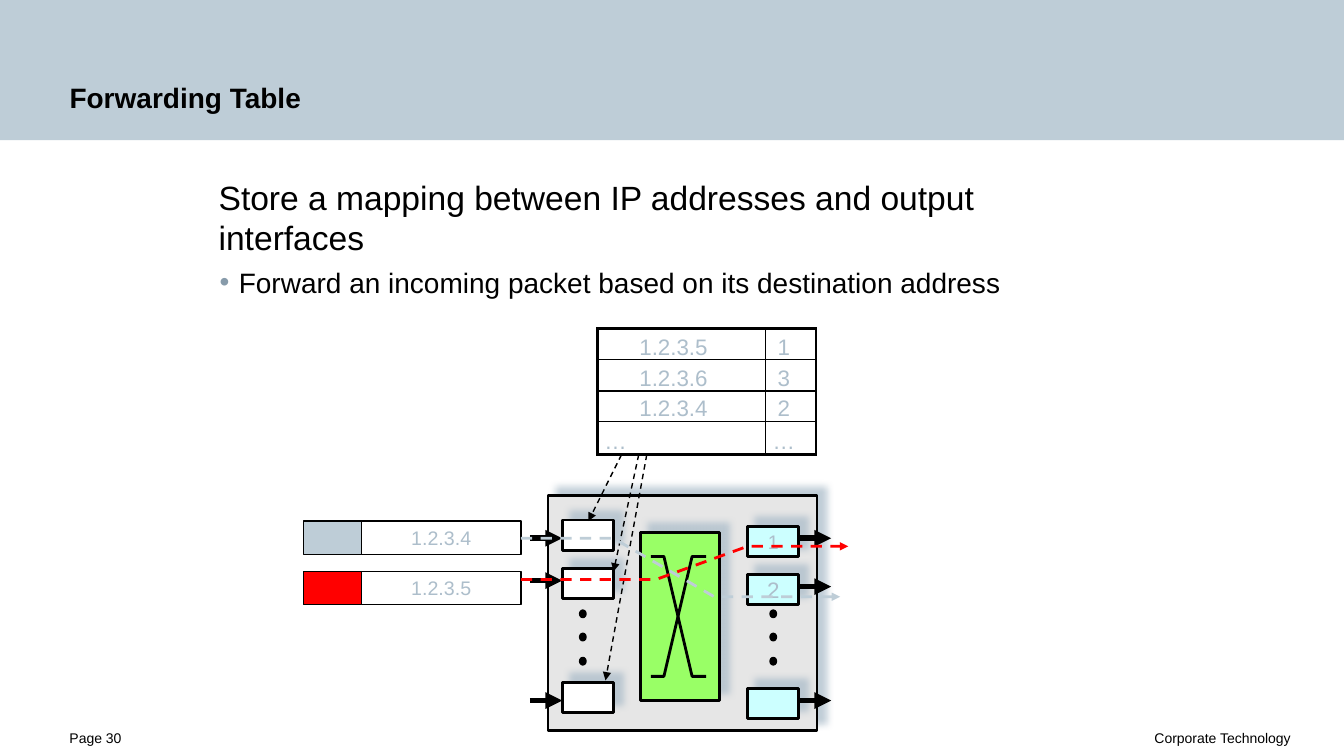
from lxml import etree
from pptx import Presentation
from pptx.dml.color import RGBColor
from pptx.enum.dml import MSO_LINE
from pptx.enum.shapes import MSO_CONNECTOR, MSO_SHAPE
from pptx.enum.text import MSO_ANCHOR, MSO_AUTO_SIZE, PP_ALIGN
from pptx.oxml.ns import qn
from pptx.util import Pt

PX = 9144
RECT, OVAL = MSO_SHAPE.RECTANGLE, MSO_SHAPE.OVAL
STRAIGHT, DASH = MSO_CONNECTOR.STRAIGHT, MSO_LINE.DASH
TOP, MIDDLE, BOTTOM = MSO_ANCHOR.TOP, MSO_ANCHOR.MIDDLE, MSO_ANCHOR.BOTTOM
LEFT, CENTER, RIGHT = PP_ALIGN.LEFT, PP_ALIGN.CENTER, PP_ALIGN.RIGHT
NO_FIT = MSO_AUTO_SIZE.NONE
COLORS = {
    "black": "000000", "white": "FFFFFF", "band": "BECDD7", "label": "ADBECB",
    "bullet": "879BAA", "case": "E6E6E6", "output": "CCFFFF",
    "fabric": "99FF66", "red": "FF0000",
}


def px(*values):
    return [value * PX for value in values]


def rgb(name):
    return RGBColor.from_string(COLORS[name])


def add(parent, tag, **attrs):
    return etree.SubElement(parent, qn(tag), {k: str(v) for k, v in attrs.items()})


def style(para, size, color="black", align=LEFT, bold=False):
    para.alignment = align
    font = para.font
    font.name, font.size, font.bold = "Arial", Pt(size), bold
    font.color.rgb = rgb(color)


def set_frame(frame, insets, anchor):
    frame.word_wrap = True
    frame.auto_size = NO_FIT
    frame.vertical_anchor = anchor
    (frame.margin_left, frame.margin_top,
     frame.margin_right, frame.margin_bottom) = px(*insets)


def place(shape, box):
    shape.left, shape.top, shape.width, shape.height = px(*box)


def stroke(line, color, width, dash=False, arrow=False):
    line.color.rgb = rgb(color)
    line.width = Pt(width)
    if dash:
        line.dash_style = DASH
    if arrow:
        add(line._ln, "a:tailEnd", type="triangle")


def add_box(shapes, box, fill, width=2, kind=RECT, shadow=False, text="", size=14):
    shape = shapes.add_shape(kind, *px(*box))
    shape.shadow.inherit = False
    if fill:
        shape.fill.solid()
        shape.fill.fore_color.rgb = rgb(fill)
    else:
        shape.fill.background()
    stroke(shape.line, "black", width)
    if shadow:
        effects = shape._element.spPr.find(qn("a:effectLst"))
        outer = add(effects, "a:outerShdw", blurRad=Pt(5), dist=Pt(8.5),
                    dir=315 * 60000, algn="ctr", rotWithShape=0)
        color = add(outer, "a:srgbClr", val=COLORS["label"])
        add(color, "a:alpha", val=75000)
    if text:
        set_frame(shape.text_frame, (0, 0, 0, 0), MIDDLE)
        shape.text_frame.text = text
        style(shape.text_frame.paragraphs[0], size, "label", CENTER)


def add_arrow(shapes, start, end, width, dash=False):
    link = shapes.add_connector(STRAIGHT, *px(*start, *end))
    stroke(link.line, "black", width, dash, True)
    add(link._element.spPr, "a:effectLst")


def add_route(shapes, points, color, dash=False, arrow=False):
    form = shapes.build_freeform(*points[0], scale=PX)
    form.add_line_segments(points[1:], close=False)
    route = form.convert_to_shape()
    route.shadow.inherit = False
    route.fill.background()
    stroke(route.line, color, 2, dash, arrow)


def set_title(title, box):
    place(title, box)
    title.fill.solid()
    title.fill.fore_color.rgb = rgb("band")
    set_frame(title.text_frame, (69, 43, 232, 26), BOTTOM)
    title.text_frame.text = "Forwarding Table"
    style(title.text_frame.paragraphs[0], 20, bold=True)


def set_body(body, box):
    place(body, box)
    frame = body.text_frame
    set_frame(frame, (0, 0, 0, 0), TOP)
    frame.text = "Store a mapping between IP addresses and output interfaces"
    lead, point = frame.paragraphs[0], frame.add_paragraph()
    point.text = "Forward an incoming packet based on its destination address"
    point.level = 1
    lead.space_before, point.space_before = Pt(0), Pt(6)
    for para, left, indent in ((lead, 0, 0), (point, 20, -19)):
        props = para._p.get_or_add_pPr()
        props.set("marL", str(left * PX))
        props.set("indent", str(indent * PX))
    add(lead._p.pPr, "a:buNone")
    color = add(point._p.pPr, "a:buClr")
    add(color, "a:srgbClr", val=COLORS["bullet"])
    add(point._p.pPr, "a:buFont", typeface="Arial")
    add(point._p.pPr, "a:buChar", char="•")
    style(lead, 24)
    style(point, 20)


def add_footer(shapes, box):
    x, y, w, h = box
    for text, left, wide, insets, align in (
        ("Page 30", 0, 193, (69, 0, 0, 13), LEFT),
        ("Corporate Technology", 414, w - 414, (0, 0, 53, 13), RIGHT),
    ):
        note = shapes.add_textbox(*px(x + left, y, wide, h))
        set_frame(note.text_frame, insets, TOP)
        note.text_frame.text = text
        para = note.text_frame.paragraphs[0]
        para.line_spacing = 1.1
        style(para, 10, align=align)


def add_router(shapes, box):
    x, y, w, h = box
    add_box(shapes, box, "case", shadow=True)
    for top, drop in ((24, 18), (72, 12), (185, 18)):
        add_box(shapes, (x + 14, y + top, 51, 30), "white", shadow=True)
        mid = y + top + drop
        add_arrow(shapes, (x - 18, mid), (x + 14, mid), 4)
    for top, text, size in ((30, "1", 14), (78, "2", 16), (191, "", 14)):
        add_box(shapes, (x + 198, y + top, 51, 30), "output",
                shadow=True, text=text, size=size)
        mid = y + top + 12
        add_arrow(shapes, (x + 249, mid), (x + 281, mid), 4)
    add_box(shapes, (x + 92, y + 36, 78, 167), "fabric", shadow=True)
    for start, end in ((60, 179), (179, 60)):
        add_route(shapes, [(x + 102, y + start), (x + 115, y + start),
                           (x + 143, y + end), (x + 157, y + end)], "black")
    for left in (32, 221):
        for top in (114, 137, 161):
            add_box(shapes, (x + left, y + top, 5, 6), "black", kind=OVAL)


def add_lookups(shapes, box):
    x, y, w, h = box
    for start, end, fall in ((24, -9, 66), (41, 16, 116), (49, 8, 224)):
        add_arrow(shapes, (x + start, y + h), (x + end, y + h + fall), 1, True)


def add_routes(shapes, box):
    rows = (("1.2.3.5", "1"), ("1.2.3.6", "3"), ("1.2.3.4", "2"), ("…", "…"))
    table = shapes.add_table(len(rows), 2, *px(*box)).table
    table.first_row = table.horz_banding = False
    for col, wide in enumerate((167, box[2] - 167)):
        table.columns[col].width = wide * PX
    for row, (texts, high) in enumerate(zip(rows, (31, 31, 30, 33))):
        table.rows[row].height = high * PX
        for col, text in enumerate(texts):
            cell = table.cell(row, col)
            address = col == 0 and text != "…"
            cell.margin_top = cell.margin_bottom = 0
            cell.margin_left = (0 if address else 7 if text == "…" else 12) * PX
            cell.margin_right = (16 if address else 0) * PX
            cell.vertical_anchor = BOTTOM
            cell.text = text
            style(cell.text_frame.paragraphs[0], 16, "label",
                  CENTER if address else LEFT)
            outer = {"L": col == 0, "R": col == 1,
                     "T": row == 0, "B": row == len(rows) - 1}
            for side, edge in outer.items():
                line = add(cell._tc.get_or_add_tcPr(), "a:ln" + side,
                           w=Pt(2.25 if edge else 1))
                fill = add(line, "a:solidFill")
                add(fill, "a:srgbClr", val=COLORS["black"])
            cell.fill.background()


def add_packet(shapes, box, text, color, steps):
    x, y, w, h = box
    add_box(shapes, (x + 58, y, w - 58, h), None, 1, text=text)
    add_box(shapes, (x, y, 58, h), color, 1)
    points = [(x + w + dx, y + dy) for dx, dy in steps]
    add_route(shapes, points, color, True, True)


def main():
    deck = Presentation()
    deck.slide_width, deck.slide_height = px(1334, 750)
    slide = deck.slides.add_slide(deck.slide_layouts[1])
    shapes = slide.shapes
    table = (593, 326, 217, 125)
    set_title(shapes.title, (0, 0, 1334, 139))
    set_body(slide.placeholders[1], (217, 175, 900, 142))
    add_footer(shapes, (0, 722, 1334, 28))
    add_router(shapes, (544, 492, 267, 233))
    add_routes(shapes, table)
    add_lookups(shapes, table)
    add_packet(shapes, (301, 567, 216, 33), "1.2.3.5", "red",
               ((0, 8), (134, 8), (225, -25), (325, -25)))
    add_packet(shapes, (301, 517, 216, 33), "1.2.3.4", "band",
               ((0, 17), (92, 17), (192, 75), (317, 75)))
    deck.save("out.pptx")


if __name__ == "__main__":
    main()
